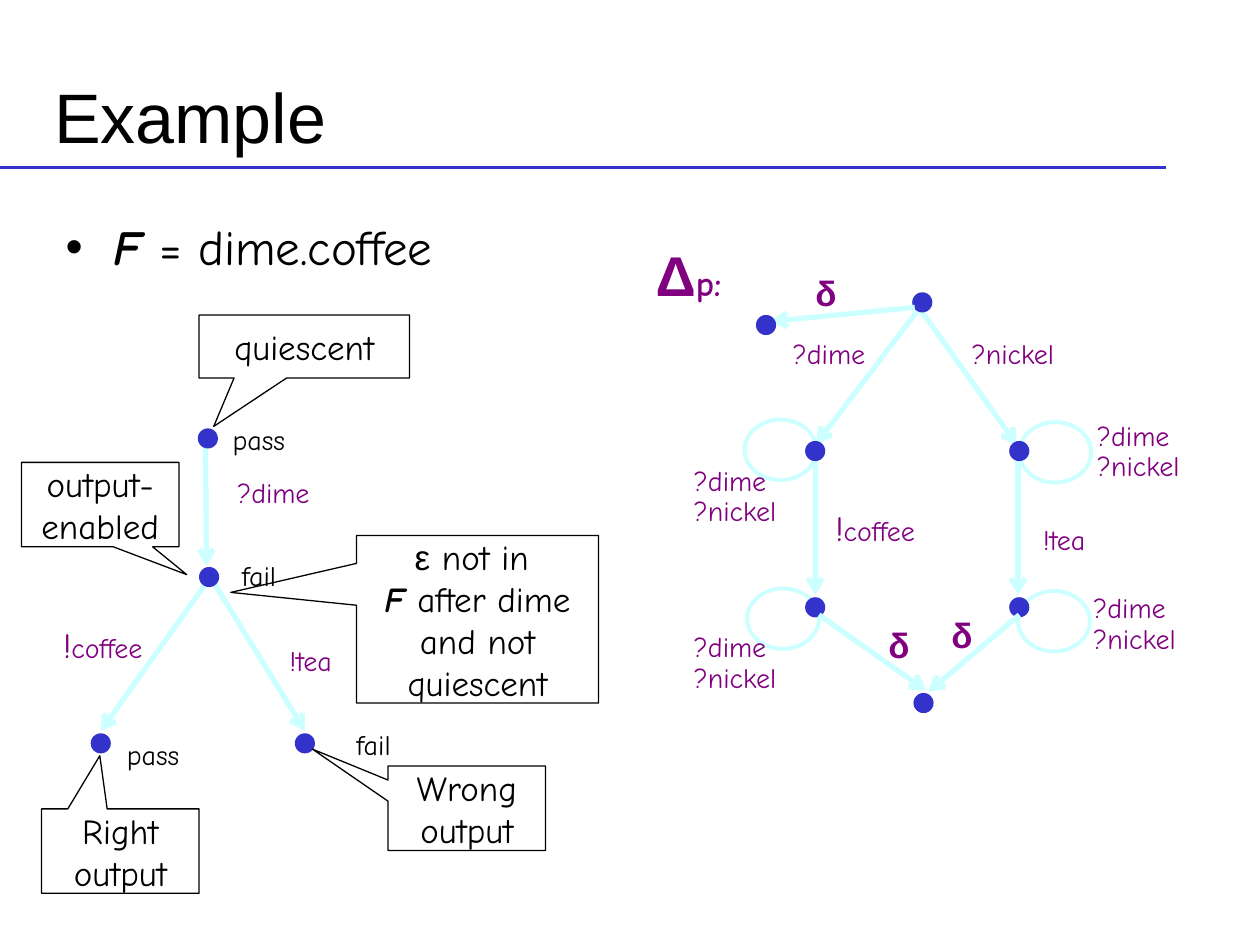
from lxml.etree import SubElement
from pptx import Presentation
from pptx.dml.color import RGBColor
from pptx.enum.shapes import MSO_CONNECTOR, MSO_SHAPE as Shape
from pptx.enum.text import MSO_ANCHOR as Anchor, MSO_AUTO_SIZE as AutoSize, PP_ALIGN as Align
from pptx.oxml.ns import qn
from pptx.util import Inches, Pt

BLACK = RGBColor(0, 0, 0)
BLUE = RGBColor(0x33, 0x33, 0xCC)
CYAN = RGBColor(0xCC, 0xFF, 0xFF)
PURPLE = RGBColor(0x80, 0, 0x80)

HAND = "Comic Neue"
SANS = "Arial"
NODE = 0.16
LOOP = (0.57, 0.48)

LABEL = dict(name=HAND, size=Pt(16), bold=False, italic=False)
NOTE = LABEL | dict(size=Pt(20))
SYMBOL = dict(name=SANS, size=Pt(20), bold=True)
EMPHASIS = dict(bold=True, italic=True)
COFFEE = [("!", dict(size=Pt(20))), ("coffee", {})]
COINS = [("?dime\v?nickel", {})]


def place(box, left, top, width, height):
    x, y = box
    return Inches(x + left), Inches(y + top), Inches(width), Inches(height)


def write_runs(para, runs, style, color):
    for text, changes in runs:
        for index, line in enumerate(text.split("\v")):
            if index:
                para.add_line_break()
            span = para.add_run()
            span.text = line
            for key, value in (style | changes).items():
                setattr(span.font, key, value)
            span.font.color.rgb = color


def add_edge(page, box, start, end, color=CYAN, width=3, arrow=True):
    x, y = box
    edge = page.shapes.add_connector(
        MSO_CONNECTOR.STRAIGHT,
        Inches(x + start[0]), Inches(y + start[1]),
        Inches(x + end[0]), Inches(y + end[1]),
    )
    edge.line.color.rgb = color
    edge.line.width = Pt(width)
    if arrow:
        SubElement(edge.line._get_or_add_ln(), qn("a:tailEnd"), type="arrow")
    SubElement(edge._element.spPr, qn("a:effectLst"))


def add_node(page, box, left, top):
    node = page.shapes.add_shape(
        Shape.FLOWCHART_CONNECTOR, *place(box, left, top, NODE, NODE))
    node.shadow.inherit = False
    node.fill.solid()
    node.fill.fore_color.rgb = BLUE
    node.line.fill.background()


def add_loop(page, box, left, top):
    loop = page.shapes.add_shape(Shape.OVAL, *place(box, left, top, *LOOP))
    loop.shadow.inherit = False
    loop.fill.background()
    loop.line.color.rgb = CYAN
    loop.line.width = Pt(2.25)


def add_label(page, box, area, runs, color=PURPLE, style=LABEL,
              align=Align.CENTER, spacing=1.2, wrap=True):
    frame = page.shapes.add_textbox(*place(box, *area)).text_frame
    frame.word_wrap = wrap
    frame.auto_size = AutoSize.SHAPE_TO_FIT_TEXT
    frame.vertical_anchor = Anchor.MIDDLE
    para = frame.paragraphs[0]
    para.alignment = align
    para.line_spacing = spacing
    write_runs(para, runs, style, color)


def add_callout(page, box, area, tip, paragraphs):
    callout = page.shapes.add_shape(Shape.RECTANGULAR_CALLOUT, *place(box, *area))
    callout.shadow.inherit = False
    callout.fill.background()
    callout.line.color.rgb = BLACK
    callout.line.width = Pt(0.75)
    for index, value in enumerate(tip):
        callout.adjustments[index] = value
    frame = callout.text_frame
    frame.word_wrap = True
    frame.vertical_anchor = Anchor.MIDDLE
    for index, runs in enumerate(paragraphs):
        para = frame.add_paragraph() if index else frame.paragraphs[0]
        para.alignment = Align.CENTER
        write_runs(para, runs, NOTE, BLACK)


def draw_heading(page, box):
    add_edge(page, box, (0, 1.33), (9.25, 1.33), BLUE, 2, arrow=False)
    title = page.shapes.title
    title.left, title.top, title.width, title.height = place(box, 0.33, 0.5, 9.33, 0.83)
    frame = title.text_frame
    frame.auto_size = AutoSize.NONE
    frame.vertical_anchor = Anchor.MIDDLE
    para = frame.paragraphs[0]
    para.alignment = Align.LEFT
    write_runs(para, [("Example", {})], dict(name=SANS, size=Pt(40)), BLACK)


def draw_formula(page, box):
    body = page.placeholders[1]
    body.left, body.top, body.width, body.height = place(box, 0, 0, 9.25, 5)
    frame = body.text_frame
    frame.auto_size = AutoSize.NONE
    para = frame.paragraphs[0]
    para.space_before = Pt(0)
    props = para._p.get_or_add_pPr()
    props.set("marL", str(Inches(0.38)))
    props.set("indent", str(-Inches(0.38)))
    SubElement(props, qn("a:buChar"), char="•")
    write_runs(para, [("F ", EMPHASIS), ("= dime.coffee", {})],
               LABEL | dict(size=Pt(28)), BLACK)


def draw_test_tree(page, box):
    for start, end in [((1.67, 2.08), (2.42, 3.3)), ((1.67, 2.08), (0.8, 3.3)),
                       ((1.63, 0.97), (1.64, 1.99))]:
        add_edge(page, box, start, end)
    for left, top in [(1.57, 0.9), (1.58, 2), (0.72, 3.32), (2.34, 3.32)]:
        add_node(page, box, left, top)
    add_label(page, box, (1.67, 1.17, 1, 0.42), [("?dime", {})])
    add_label(page, box, (0.35, 2.33, 0.93, 0.5), COFFEE, wrap=False)
    add_label(page, box, (2.08, 2.5, 0.77, 0.42), [("!tea", {})])
    for left, top, verdict in [(0.83, 3.25, "pass"), (1.67, 0.75, "pass"),
                               (1.67, 1.83, "fail"), (2.58, 3.17, "fail")]:
        add_label(page, box, (left, top, 0.77, 0.42), [(verdict, {})], BLACK)
    add_callout(page, box, (2.83, 1.75, 1.92, 1.33), (-1.02, -0.16), [
        [("ε", dict(name=SANS)), (" not in ", {})],
        [("F ", EMPHASIS), ("after dime", {})],
        [("and not quiescent", {})],
    ])
    for area, tip, text in [
        ((1.58, 0, 1.67, 0.5), (-0.43, 1.27), "quiescent"),
        ((3.08, 3.58, 1.25, 0.67), (-0.98, -0.7), "Wrong output"),
        ((0.33, 3.92, 1.25, 0.67), (-0.13, -1.13), "Right output"),
        ((0.17, 1.17, 1.25, 0.67), (0.55, 0.83), "output-enabled"),
    ]:
        add_callout(page, box, area, tip, [[(text, {})]])


def draw_process(page, box):
    for left, top in [(3.09, 1.6), (0.91, 1.58), (0.93, 2.92), (3.08, 2.94)]:
        add_loop(page, box, left, top)
    for left, top in [(3.61, 1.55), (3.58, 2.92), (0.41, 1.91), (0.41, 3.23)]:
        add_label(page, box, (left, top, 1, 0.58), COINS, align=Align.LEFT, spacing=0.9)
    for start, end in [((1.47, 1.9), (1.47, 2.97)), ((3.08, 1.9), (3.08, 2.97)),
                       ((2.3, 0.7), (3.07, 1.78)), ((2.34, 0.64), (1.48, 1.77))]:
        add_edge(page, box, start, end)
    for left, top in [(2.24, 0.57), (1.39, 1.75), (3.01, 1.75),
                      (1.39, 2.99), (3.01, 2.99)]:
        add_node(page, box, left, top)
    add_label(page, box, (1.08, 0.82, 1, 0.42), [("?dime", {})])
    add_label(page, box, (2.54, 0.82, 1, 0.42), [("?nickel", {})])
    add_label(page, box, (1.48, 2.15, 0.93, 0.5), COFFEE, wrap=False)
    add_label(page, box, (3.06, 2.29, 0.77, 0.42), [("!tea", {})])

    add_edge(page, box, (2.26, 0.69), (1.12, 0.8))
    add_node(page, box, 1, 0.75)
    add_node(page, box, 2.25, 3.75)
    add_edge(page, box, (3.09, 3.13), (2.37, 3.74))
    add_edge(page, box, (1.5, 3.13), (2.35, 3.73))
    for left, top in [(1.17, 0.29), (2.25, 3), (1.75, 3.08)]:
        add_label(page, box, (left, top, 0.77, 0.5), [("δ", {})], style=SYMBOL)
    add_label(page, box, (0.08, 0, 0.77, 0.74),
              [("Δ", dict(size=Pt(32))), ("p:", dict(name=HAND))], style=SYMBOL)


def main():
    deck = Presentation()
    deck.slide_width, deck.slide_height = Inches(10), Inches(7.5)
    page = deck.slides.add_slide(deck.slide_layouts[1])
    draw_heading(page, (0, 0))
    draw_formula(page, (0.42, 1.67))
    draw_test_tree(page, (0, 2.5))
    draw_process(page, (5, 1.75))
    deck.save("out.pptx")


if __name__ == "__main__":
    main()
